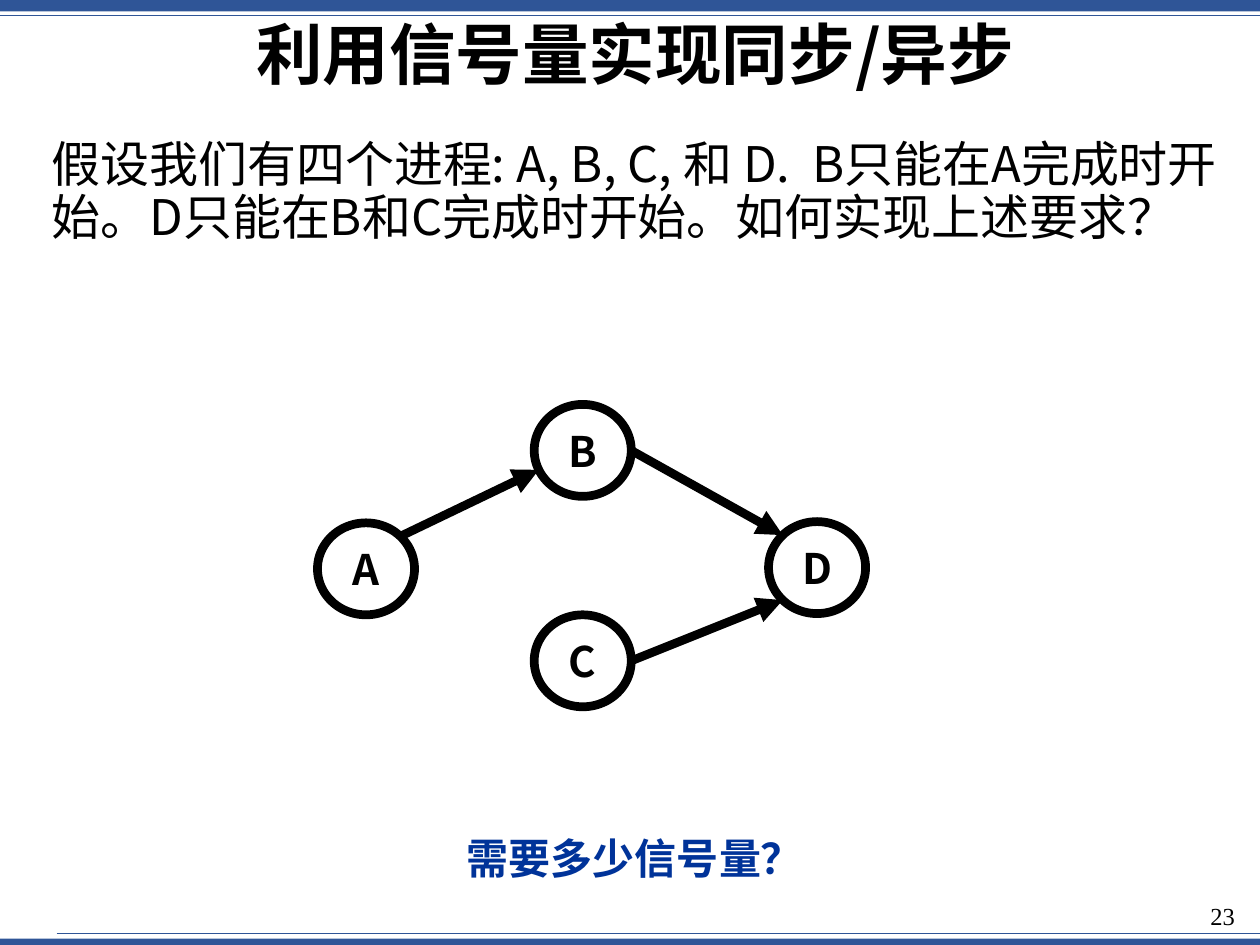
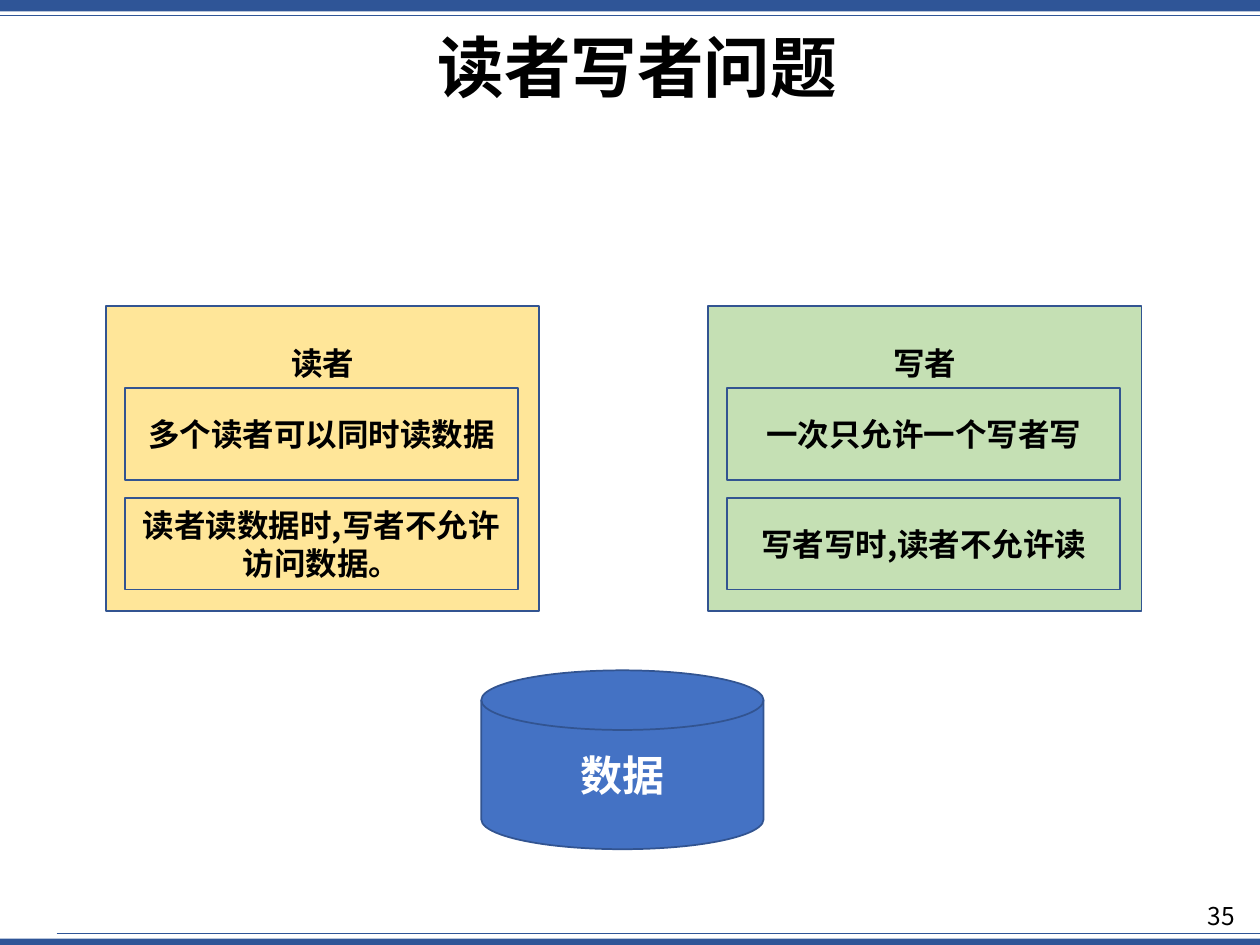
from math import cos, radians, sin

from lxml import etree
from pptx import Presentation
from pptx.dml.color import RGBColor
from pptx.enum.shapes import MSO_CONNECTOR, MSO_SHAPE
from pptx.enum.text import MSO_ANCHOR, MSO_AUTO_SIZE, PP_ALIGN
from pptx.oxml.ns import qn
from pptx.util import Inches, Pt

LEFT, CENTER, RIGHT = PP_ALIGN.LEFT, PP_ALIGN.CENTER, PP_ALIGN.RIGHT
TOP, MIDDLE = MSO_ANCHOR.TOP, MSO_ANCHOR.MIDDLE
RECT, OVAL, DISK = MSO_SHAPE.RECTANGLE, MSO_SHAPE.OVAL, MSO_SHAPE.FLOWCHART_MAGNETIC_DISK

BLACK = RGBColor(0x00, 0x00, 0x00)
WHITE = RGBColor(0xFF, 0xFF, 0xFF)
BAND = RGBColor(0x2F, 0x55, 0x97)
OUTLINE = RGBColor(0x32, 0x54, 0x91)
QUESTION_BLUE = RGBColor(0x00, 0x33, 0x99)
DATA_BLUE = RGBColor(0x44, 0x72, 0xC4)
READER_YELLOW = RGBColor(0xFF, 0xE6, 0x99)
WRITER_GREEN = RGBColor(0xC5, 0xE0, 0xB4)
SANS, SERIF = "Noto Sans CJK SC", "Times New Roman"

# Slide content
SYNC_TITLE = "利用信号量实现同步/异步"
SYNC_TASK = ("假设我们有四个进程: A, B, C, 和 D.  B只能在A完成时开始。"
             "D只能在B和C完成时开始。如何实现上述要求？")
SYNC_QUESTION = "需要多少信号量？"
NODE_W, NODE_H = 0.77, 0.73
NODES = {"A": (2.52, 4.15), "B": (4.24, 3.21), "C": (4.24, 4.88), "D": (6.1, 4.14)}
# From node and angle to node and angle, in degrees counter-clockwise from the right
EDGES = [("A", 45, "B", 205), ("B", 0, "D", 135), ("C", 0, "D", 225)]

RW_TITLE = "读者写者问题"
RW_DATA = "数据"
PANELS = [
    (0.84, READER_YELLOW, "读者",
     ["多个读者可以同时读数据", "读者读数据时,写者不允许访问数据。"]),
    (5.62, WRITER_GREEN, "写者",
     ["一次只允许一个写者写", "写者写时,读者不允许读"]),
]
PANEL_TOP, PANEL_W, PANEL_H = 2.43, 3.44, 2.42
RULE_TOP, RULE_W, RULE_H, RULE_STEP, RULE_INSET = 3.08, 3.12, 0.73, 0.87, 0.15


def box(*lengths):
    return [Inches(v) for v in lengths]


def set_text(s, text, size, bold=False, color=BLACK, align=CENTER, anchor=MIDDLE,
             font=SANS, spacing=1.0):
    tf = s.text_frame
    tf.text = text
    tf.word_wrap = True
    tf.auto_size = MSO_AUTO_SIZE.NONE
    tf.vertical_anchor = anchor
    p = tf.paragraphs[0]
    p.alignment = align
    p.line_spacing = spacing
    p.space_before = Pt(0)
    r = p.runs[0]
    r.font.name = font
    r.font.size = Pt(size)
    r.font.bold = bold
    r.font.color.rgb = color
    east_asian = etree.SubElement(r.font._element, qn("a:ea"))
    east_asian.set("typeface", font)


def add_box(slide, kind, at, fill=None, line=None, width=1):
    s = slide.shapes.add_shape(kind, *box(*at))
    s.shadow.inherit = False
    if fill is None:
        s.fill.background()
    else:
        s.fill.solid()
        s.fill.fore_color.rgb = fill
    if line is None:
        s.line.fill.background()
    else:
        s.line.color.rgb = line
        s.line.width = Pt(width)
    return s


def add_line(slide, start, end, color, width, arrow=False):
    c = slide.shapes.add_connector(MSO_CONNECTOR.STRAIGHT, *box(*start, *end))
    c.line.color.rgb = color
    c.line.width = Pt(width)
    sp_pr = c._element.spPr
    if arrow:
        etree.SubElement(sp_pr.find(qn("a:ln")), qn("a:tailEnd"), type="triangle")
    etree.SubElement(sp_pr, qn("a:effectLst"))


def place(s, at):
    s.left, s.top, s.width, s.height = box(*at)


def add_slide(prs, layout, title, title_at, number, number_font):
    """Add a slide with the bands, rules, title and page number all slides share."""
    slide = prs.slides.add_slide(prs.slide_layouts[layout])
    add_box(slide, RECT, (0, 7.45, 10, 0.05), BAND)
    add_box(slide, RECT, (0, 0, 10, 0.09), BAND)
    add_line(slide, (0, 0.12), (10, 0.12), BAND, 0.5)
    add_line(slide, (0.45, 7.41), (10, 7.41), BAND, 0.5)
    s = slide.shapes.add_textbox(*box(9.36, 7.1, 0.54, 0.4))
    set_text(s, number, 14, align=RIGHT, anchor=TOP, font=number_font)
    place(slide.shapes.title, title_at)
    set_text(slide.shapes.title, title, 38, bold=True, spacing=0.9)
    return slide


def node_edge(name, angle):
    """Return the point on a node's outline at the given angle."""
    left, top = NODES[name]
    a = radians(angle)
    return left + NODE_W / 2 * (1 + cos(a)), top + NODE_H / 2 * (1 - sin(a))


def build_sync_slide(prs):
    slide = add_slide(prs, 1, SYNC_TITLE, (0.79, 0, 8.5, 0.92), "23", SERIF)
    body = slide.placeholders[1]
    place(body, (0.31, 1.06, 9.46, 1.5))
    set_text(body, SYNC_TASK, 28, align=LEFT, anchor=TOP, spacing=0.9)
    p_pr = body.text_frame.paragraphs[0]._p.get_or_add_pPr()
    p_pr.set("marL", "0")
    p_pr.set("indent", "0")
    etree.SubElement(p_pr, qn("a:buNone"))

    for name, (left, top) in NODES.items():
        s = add_box(slide, OVAL, (left, top, NODE_W, NODE_H), line=BLACK, width=5)
        set_text(s, name, 24, bold=True)
    for start, start_angle, end, end_angle in EDGES:
        add_line(slide, node_edge(start, start_angle), node_edge(end, end_angle),
                 BLACK, 5, arrow=True)

    s = slide.shapes.add_textbox(*box(0.31, 6.5, 9.46, 0.62))
    set_text(s, SYNC_QUESTION, 24, bold=True, color=QUESTION_BLUE)


def build_reader_writer_slide(prs):
    slide = add_slide(prs, 5, RW_TITLE, (0.81, 0.13, 8.5, 0.86), "35", SANS)
    s = add_box(slide, DISK, (3.82, 5.32, 2.24, 1.42), DATA_BLUE, OUTLINE)
    set_text(s, RW_DATA, 24, bold=True, color=WHITE)
    for left, fill, role, rules in PANELS:
        s = add_box(slide, RECT, (left, PANEL_TOP, PANEL_W, PANEL_H), fill, OUTLINE)
        set_text(s, role, 18, bold=True, anchor=TOP)
        s.text_frame.margin_top = Inches(0.3)
        for i, rule in enumerate(rules):
            at = left + RULE_INSET, RULE_TOP + i * RULE_STEP, RULE_W, RULE_H
            s = add_box(slide, RECT, at, fill, OUTLINE)
            set_text(s, rule, 18, bold=True)


def main():
    prs = Presentation()
    prs.slide_width, prs.slide_height = box(10, 7.5)
    build_sync_slide(prs)
    build_reader_writer_slide(prs)
    prs.save("out.pptx")


if __name__ == "__main__":
    main()
